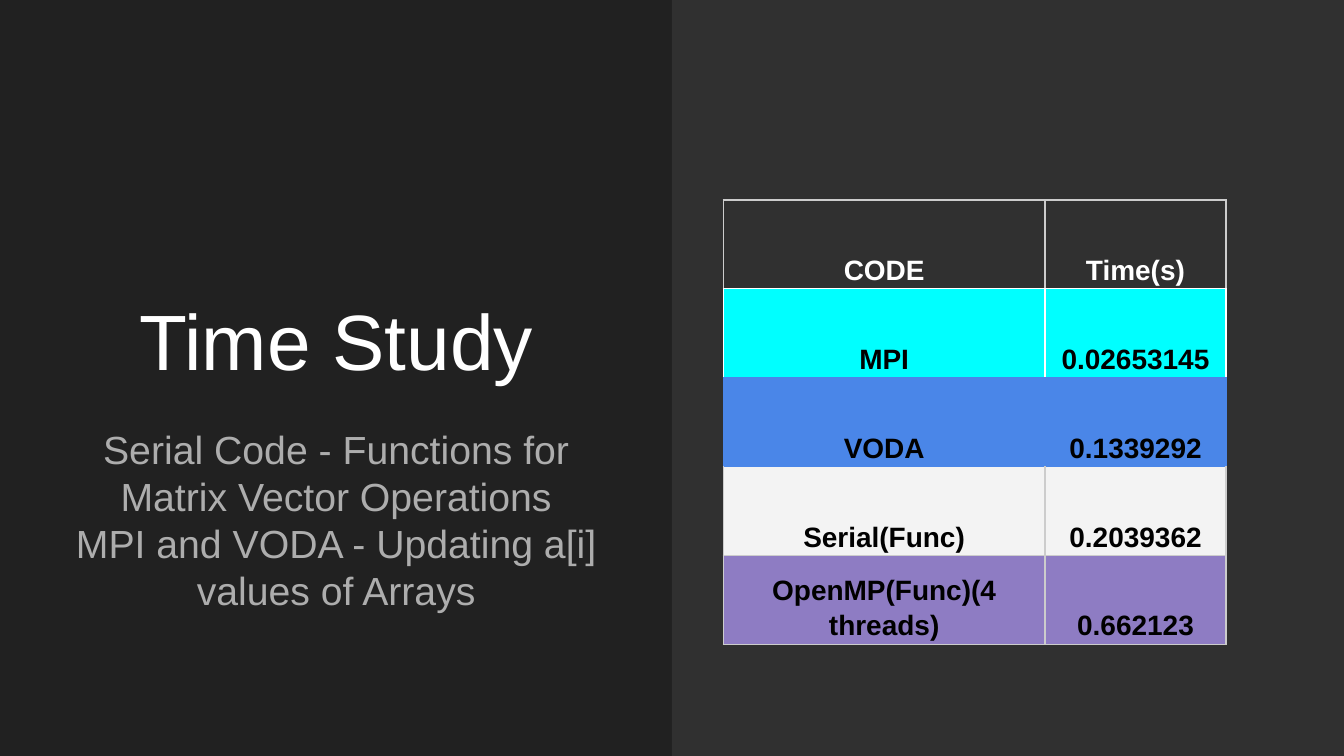
from lxml import etree
from pptx import Presentation
from pptx import util as u
from pptx.dml.color import RGBColor
from pptx.enum import shapes, text
from pptx.oxml.ns import qn

CHARCOAL = RGBColor(0x21, 0x21, 0x21)
GRAPHITE = RGBColor(0x30, 0x30, 0x30)
WHITE = RGBColor(0xFF, 0xFF, 0xFF)
BLACK = RGBColor(0x00, 0x00, 0x00)
ASH = RGBColor(0xAD, 0xAD, 0xAD)
SILVER = RGBColor(0xCC, 0xCC, 0xCC)
CYAN = RGBColor(0x00, 0xFF, 0xFF)
BLUE = RGBColor(0x4A, 0x86, 0xE8)
PALE = RGBColor(0xF3, 0xF3, 0xF3)
PURPLE = RGBColor(0x8E, 0x7C, 0xC3)

FONT = "Arial"
SLIDE_WIDTH, SLIDE_HEIGHT = u.Cm(25.4), u.Cm(14.29)
COLUMN_SHARES = (0.64, 0.36)

TIMINGS = [
    ("CODE", "Time(s)", None, WHITE, (SILVER, SILVER, SILVER, WHITE)),
    ("MPI", "0.02653145", CYAN, BLACK, (WHITE, WHITE, WHITE, BLUE)),
    ("VODA", "0.1339292", BLUE, BLACK, (BLUE,) * 4),
    ("Serial(Func)", "0.2039362", PALE, BLACK, (SILVER, SILVER, BLUE, SILVER)),
    ("OpenMP(Func)(4 threads)", "0.662123", PURPLE, BLACK, (SILVER,) * 4),
]


def write(paragraph, words, size, color, bold=False):
    """Add one centred run to a paragraph."""
    paragraph.alignment = text.PP_ALIGN.CENTER
    run = paragraph.add_run()
    run.text = words
    run.font.name = FONT
    run.font.size = u.Pt(size)
    run.font.bold = bold
    run.font.color.rgb = color


def add_backdrop(slide, left, top, width, height):
    """Fill the slide and lay the lighter panel in the given box."""
    slide.background.fill.solid()
    slide.background.fill.fore_color.rgb = CHARCOAL
    panel = slide.shapes.add_shape(shapes.MSO_SHAPE.RECTANGLE, left, top, width, height)
    panel.shadow.inherit = False
    panel.fill.solid()
    panel.fill.fore_color.rgb = GRAPHITE
    panel.line.fill.background()


def add_lines(slide, left, top, width, height, lines, size, color, anchor):
    """Place a text box with one paragraph for each line."""
    frame = slide.shapes.add_textbox(left, top, width, height).text_frame
    frame.word_wrap = True
    frame.vertical_anchor = anchor
    frame.margin_left = frame.margin_right = u.Cm(0.25)
    frame.margin_top = frame.margin_bottom = u.Cm(0.25)
    for index, line in enumerate(lines):
        paragraph = frame.add_paragraph() if index else frame.paragraphs[0]
        write(paragraph, line, size, color)


def add_heading(slide, left, top, width, height):
    """Stack the title over the subtitle with a small gap between them."""
    gap = u.Cm(0.25)
    half = (height - gap) // 2
    add_lines(slide, left, top, width, half, ["Time Study"],
              42, WHITE, text.MSO_ANCHOR.BOTTOM)
    add_lines(slide, left, top + half + gap, width, half,
              ["Serial Code - Functions for Matrix Vector Operations",
               "MPI and VODA - Updating a[i] values of Arrays"],
              21, ASH, text.MSO_ANCHOR.TOP)


def set_borders(cell, colors):
    """Draw the left, right, top and bottom borders of a cell."""
    properties = cell._tc.get_or_add_tcPr()
    for side, color in zip("LRTB", colors):
        border = etree.SubElement(properties, qn(f"a:ln{side}"), w=str(u.Pt(0.75)))
        fill = etree.SubElement(border, qn("a:solidFill"))
        etree.SubElement(fill, qn("a:srgbClr"), val=str(color))


def add_timings(slide, left, top, width, height):
    """Place the table of run times in the given box."""
    timings = slide.shapes.add_table(
        len(TIMINGS), len(COLUMN_SHARES), left, top, width, height).table
    timings.first_row = timings.horz_banding = False
    for column, share in zip(timings.columns, COLUMN_SHARES):
        column.width = int(width * share)
    for row, (code, seconds, fill, ink, borders) in zip(timings.rows, TIMINGS):
        row.height = height // len(TIMINGS)
        for cell, words in zip(row.cells, (code, seconds)):
            cell.vertical_anchor = text.MSO_ANCHOR.BOTTOM
            cell.margin_left = cell.margin_right = u.Cm(0.08)
            cell.margin_top = cell.margin_bottom = u.Cm(0.05)
            set_borders(cell, borders)
            if fill is None:
                cell.fill.background()
            else:
                cell.fill.solid()
                cell.fill.fore_color.rgb = fill
            paragraph = cell.text_frame.paragraphs[0]
            paragraph.line_spacing = 1.15
            write(paragraph, words, 15, ink, bold=True)


def main():
    """Build the slide and save it."""
    deck = Presentation()
    deck.slide_width, deck.slide_height = SLIDE_WIDTH, SLIDE_HEIGHT
    slide = deck.slides.add_slide(deck.slide_layouts[6])
    middle = SLIDE_WIDTH // 2
    add_backdrop(slide, middle, 0, middle, SLIDE_HEIGHT)
    add_heading(slide, u.Cm(0.74), u.Cm(3.43), u.Cm(11.23), u.Cm(8.48))
    add_timings(slide, u.Cm(13.67), u.Cm(3.78), u.Cm(9.5), u.Cm(8.4))
    deck.save("out.pptx")


if __name__ == "__main__":
    main()
